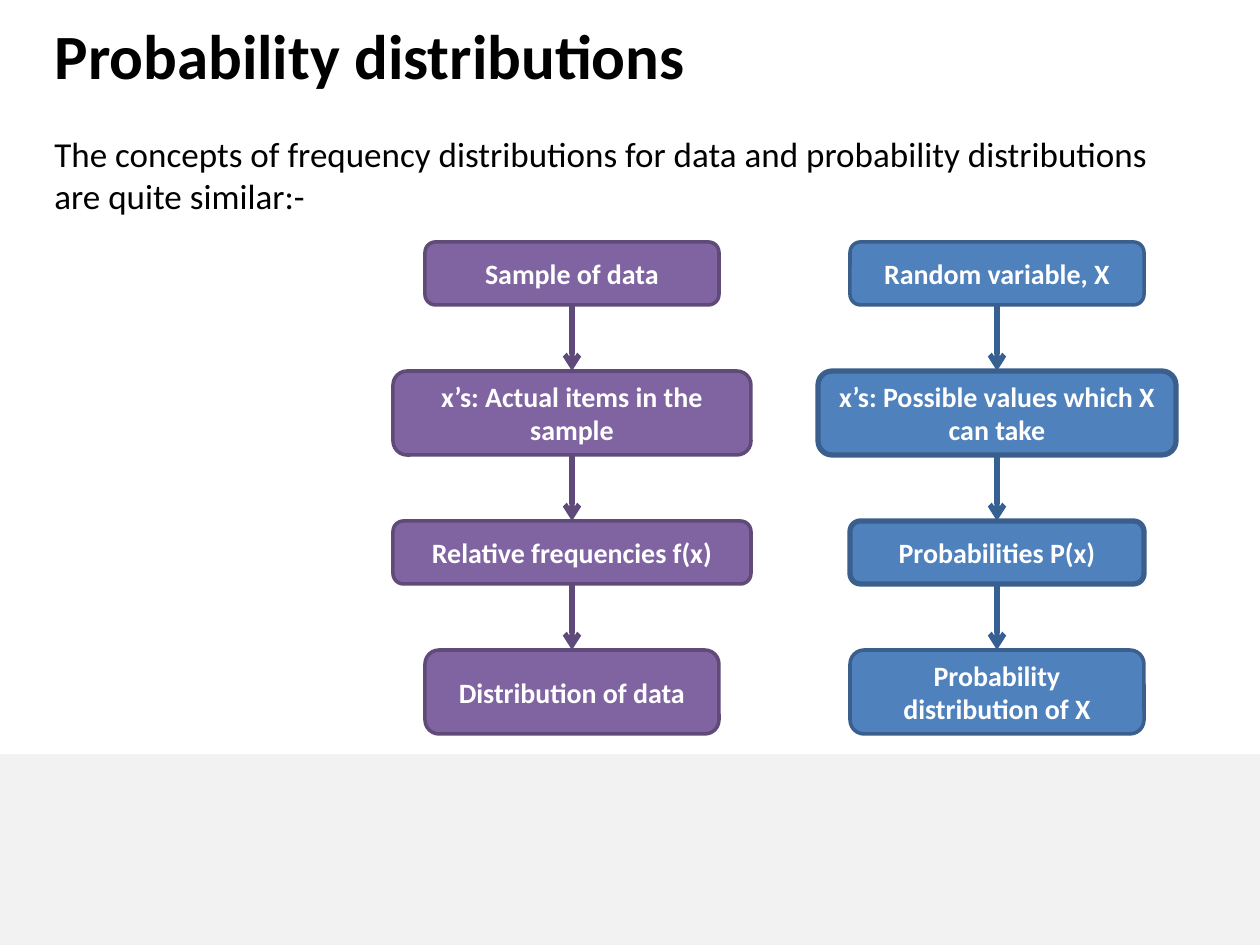
from lxml.etree import SubElement
from pptx import Presentation
from pptx.dml.color import RGBColor
from pptx.enum.shapes import MSO_CONNECTOR, MSO_SHAPE
from pptx.enum.text import MSO_ANCHOR, PP_ALIGN
from pptx.oxml.ns import qn
from pptx.util import Emu, Pt

PX_PER_INCH = 126
FONT = "Calibri"
BLACK = RGBColor(0x00, 0x00, 0x00)
WHITE = RGBColor(0xFF, 0xFF, 0xFF)
BAND = RGBColor(0xF2, 0xF2, 0xF2)
PURPLE = RGBColor(0x80, 0x64, 0xA2)
PURPLE_EDGE = RGBColor(0x5F, 0x4A, 0x78)
PURPLE_ARROW = RGBColor(0x60, 0x4A, 0x7B)
BLUE = RGBColor(0x4F, 0x81, 0xBD)
BLUE_EDGE = RGBColor(0x3A, 0x5F, 0x8C)
BLUE_ARROW = RGBColor(0x37, 0x60, 0x92)

NARROW, WIDE = 294, 358
STEP_HEIGHTS = (63, 84, 63, 84)
STEP_GAP = 66

# Each step: text, width, outline weight
DATA_STEPS = (
    ("Sample of data", NARROW, 2),
    ("x’s: Actual items in the sample", WIDE, 2),
    ("Relative frequencies f(x)", WIDE, 2),
    ("Distribution of data", NARROW, 2),
)
VARIABLE_STEPS = (
    ("Random variable, X", NARROW, 2),
    ("x’s: Possible values which X can take", WIDE, 3),
    ("Probabilities P(x)", NARROW, 3),
    ("Probability distribution of X", NARROW, 2),
)


def px(n):
    return Emu(round(n * 914400 / PX_PER_INCH))


def write(tf, text, size, color, bold=False, align=PP_ALIGN.LEFT, anchor=MSO_ANCHOR.TOP):
    tf.word_wrap = True
    tf.vertical_anchor = anchor
    p = tf.paragraphs[0]
    p.alignment = align
    r = p.add_run()
    r.text = text
    r.font.name = FONT
    r.font.size = Pt(size)
    r.font.bold = bold
    r.font.color.rgb = color


def add_box(slide, kind, box, fill, edge, weight):
    sp = slide.shapes.add_shape(kind, *map(px, box))
    sp.shadow.inherit = False
    sp.fill.solid()
    sp.fill.fore_color.rgb = fill
    sp.line.color.rgb = edge
    sp.line.width = Pt(weight)
    return sp


def add_arrow(slide, upper, lower, color):
    """Join the bottom of one step to the top of the next."""
    arrow = slide.shapes.add_connector(MSO_CONNECTOR.STRAIGHT, 0, 0, 0, 0)
    arrow.begin_connect(upper, 2)
    arrow.end_connect(lower, 0)
    arrow.line.color.rgb = color
    arrow.line.width = Pt(3)
    SubElement(arrow.line._get_or_add_ln(), qn("a:tailEnd"), type="arrow")
    SubElement(arrow._element.spPr, qn("a:effectLst"))


def add_title(slide, text, box):
    title = slide.shapes.title
    title.left, title.top, title.width, title.height = map(px, box)
    write(title.text_frame, text, 36, BLACK, bold=True)


def add_intro(slide, text, box):
    sp = slide.shapes.add_textbox(*map(px, box))
    write(sp.text_frame, text, 20, BLACK)


def add_flow(slide, left, top, width, steps, fill, edge, arrow_color):
    """Stack the steps, centred in the column, and link them downwards."""
    previous = None
    for (text, w, weight), h in zip(steps, STEP_HEIGHTS):
        box = (left + (width - w) / 2, top, w, h)
        sp = add_box(slide, MSO_SHAPE.ROUNDED_RECTANGLE, box, fill, edge, weight)
        write(sp.text_frame, text, 16, WHITE, True, PP_ALIGN.CENTER, MSO_ANCHOR.MIDDLE)
        if previous is not None:
            add_arrow(slide, previous, sp, arrow_color)
        previous = sp
        top += h + STEP_GAP


def main():
    prs = Presentation()
    prs.slide_width, prs.slide_height = px(1260), px(945)
    slide = prs.slides.add_slide(prs.slide_layouts[5])
    add_box(slide, MSO_SHAPE.RECTANGLE, (0, 756, 1260, 189), BAND, BAND, 2)
    add_title(slide, "Probability distributions", (42, 10, 1134, 158))
    add_intro(
        slide,
        "The concepts of frequency distributions for data and "
        "probability distributions are quite similar:-",
        (42, 126, 1119, 97),
    )
    add_flow(slide, 393, 242, WIDE, DATA_STEPS, PURPLE, PURPLE_EDGE, PURPLE_ARROW)
    add_flow(slide, 818, 242, WIDE, VARIABLE_STEPS, BLUE, BLUE_EDGE, BLUE_ARROW)
    prs.save("out.pptx")


if __name__ == "__main__":
    main()
